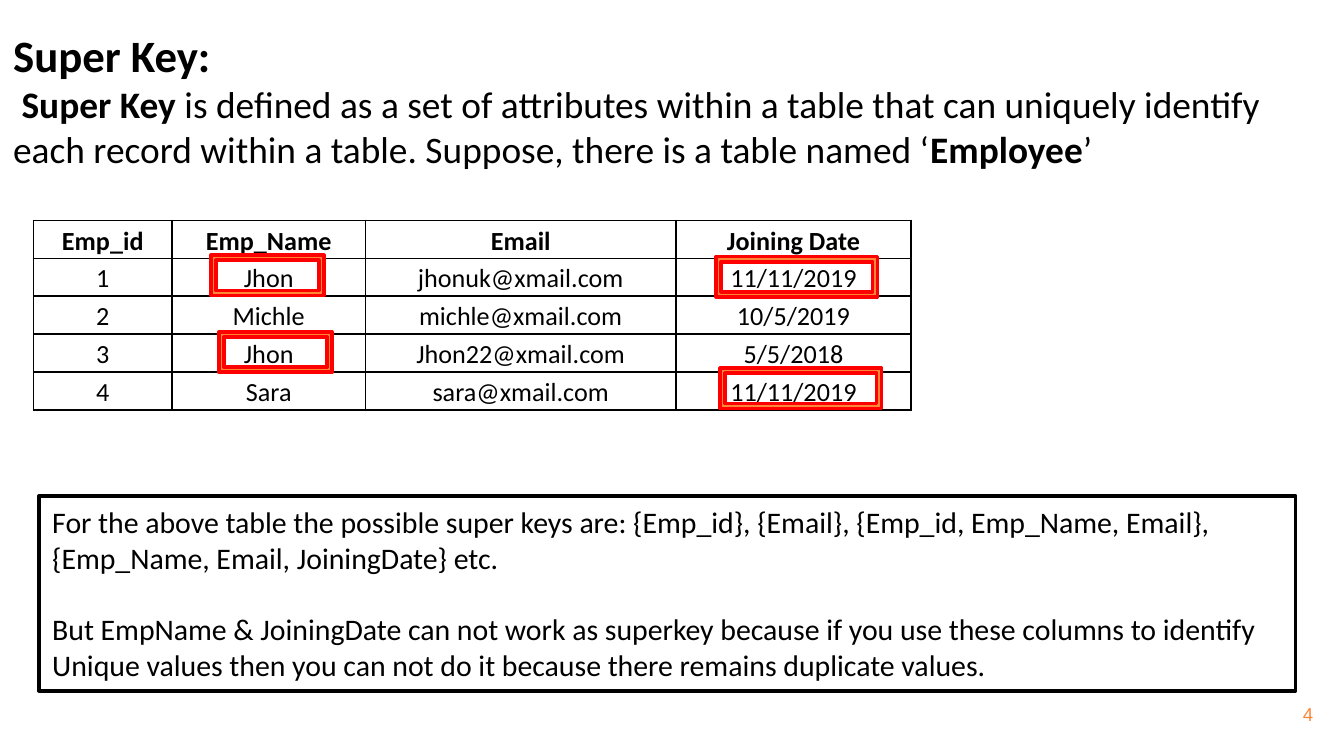
from dataclasses import dataclass

from pptx import Presentation, util as u
from pptx.dml.color import RGBColor
from pptx.enum import shapes, text
from pptx.oxml import parse_xml
from pptx.oxml.ns import nsdecls


@dataclass(frozen=True)
class Theme:
    """Hold the colours, fonts and type sizes."""
    ink: str = "000000"
    paper: str = "FFFFFF"
    accent: str = "FE8637"
    alert: str = "FF0000"
    font: str = "Calibri"
    plain: str = "Arial"
    head: int = 24
    lead: int = 20
    body: int = 16
    cell: int = 14
    foot: int = 10


THEME = Theme()
WIDTHS = [1.03, 1.44, 2.31, 1.75]
HEIGHT = 1.41
ROWS = [
    ["Emp_id", "Emp_Name", "Email", "Joining Date"],
    ["1", "Jhon", "jhonuk@xmail.com", "11/11/2019"],
    ["2", "Michle", "michle@xmail.com", "10/5/2019"],
    ["3", "Jhon", "Jhon22@xmail.com", "5/5/2018"],
    ["4", "Sara", "sara@xmail.com", "11/11/2019"],
]
INTRO = [
    (" Super Key", True),
    (" is defined as a set of attributes within a table that can uniquely "
     "identify each record within a table. Suppose, there is a table named ‘", False),
    ("Employee", True),
    ("’", False),
]
NOTES = [
    "For the above table the possible super keys are: "
    "{Emp_id}, {Email}, {Emp_id, Emp_Name, Email},",
    "{Emp_Name, Email, JoiningDate} etc.",
    "But EmpName & JoiningDate can not work as superkey because "
    "if you use these columns to identify",
    "Unique values then you can not do it because there remains duplicate values.",
]
MARKS = [(1.57, 1.9, 0.84), (1.63, 2.47, 0.84), (5.33, 1.91, 1.2), (5.36, 2.74, 1.2)]


def rgb(code):
    """Turn a hex code into a colour."""
    return RGBColor.from_string(code)


def style(run, size, bold=False, color=THEME.ink, name=THEME.font):
    """Format one run."""
    font = run.font
    font.size, font.bold, font.name = u.Pt(size), bold, name
    font.color.rgb = rgb(color)


def add_box(slide, left, top, width, height, anchor):
    """Add a wrapping text box and return its frame."""
    box = slide.shapes.add_textbox(*map(u.Inches, (left, top, width, height)))
    frame = box.text_frame
    frame.word_wrap = True
    frame.vertical_anchor = anchor
    frame.margin_left = frame.margin_right = u.Inches(0.1)
    frame.margin_top = frame.margin_bottom = u.Inches(0.1)
    return frame


def add_shape(slide, kind, area, fill, line):
    """Add a filled and outlined preset shape."""
    shape = slide.shapes.add_shape(kind, *map(u.Inches, area))
    shape.shadow.inherit = False
    shape.fill.solid()
    shape.fill.fore_color.rgb = rgb(fill)
    shape.line.color.rgb = rgb(line)
    shape.line.width = u.Pt(2)
    return shape


def add_title(slide):
    """Add the heading and its definition."""
    para = add_box(slide, 0, 0.24, 9.8, 1.13, text.MSO_ANCHOR.BOTTOM).paragraphs[0]
    para.text = "Super Key:\n"
    style(para.runs[0], THEME.head, True)
    for words, bold in INTRO:
        run = para.add_run()
        run.text = words
        style(run, THEME.lead, bold)


def edge(cell):
    """Draw thin lines on all sides of a cell."""
    props = cell._tc.get_or_add_tcPr()
    for side in "LRTB":
        props.append(parse_xml(
            f'<a:ln{side} {nsdecls("a")} w="{u.Pt(1)}"><a:solidFill>'
            f'<a:srgbClr val="{THEME.ink}"/></a:solidFill></a:ln{side}>'))


def fill_cell(cell, words, bold):
    """Write and format one table cell."""
    cell.margin_left = cell.margin_right = u.Inches(0.07)
    cell.margin_top = cell.margin_bottom = 0
    edge(cell)
    cell.fill.background()
    para = cell.text_frame.paragraphs[0]
    para.text = words
    para.alignment = text.PP_ALIGN.CENTER
    para.line_spacing = 1.15
    style(para.runs[0], THEME.cell, bold)


def add_grid(slide):
    """Add the employee table."""
    area = (0.25, 1.64, sum(WIDTHS), HEIGHT)
    grid = slide.shapes.add_table(
        len(ROWS), len(WIDTHS), *map(u.Inches, area)).table
    grid.first_row = grid.horz_banding = False
    for col, width in zip(grid.columns, WIDTHS):
        col.width = u.Inches(width)
    for i, row in enumerate(ROWS):
        grid.rows[i].height = u.Inches(HEIGHT / len(ROWS))
        for j, words in enumerate(row):
            fill_cell(grid.cell(i, j), words, i == 0)


def add_notes(slide):
    """Add the outlined box that lists the super keys."""
    box = add_shape(slide, shapes.MSO_SHAPE.RECTANGLE, (0.29, 3.69, 9.35, 1.45),
                    THEME.paper, THEME.ink)
    frame = box.text_frame
    frame.text = "\n".join(NOTES)
    frame.word_wrap = False
    frame.auto_size = text.MSO_AUTO_SIZE.SHAPE_TO_FIT_TEXT
    for para in frame.paragraphs:
        para.alignment = text.PP_ALIGN.LEFT
        style(para.runs[0], THEME.body)
    frame.paragraphs[2].space_before = u.Pt(19)


def add_marks(slide):
    """Frame the duplicate values in the table."""
    for left, top, width in MARKS:
        add_shape(slide, shapes.MSO_SHAPE.FRAME, (left, top, width, 0.3),
                  THEME.accent, THEME.alert)


def add_number(slide):
    """Add the page number."""
    para = add_box(slide, 9.27, 5.1, 0.6, 0.43, text.MSO_ANCHOR.MIDDLE).paragraphs[0]
    para.text = "4"
    para.alignment = text.PP_ALIGN.RIGHT
    style(para.runs[0], THEME.foot, color=THEME.accent, name=THEME.plain)


def main():
    """Build and save the slide."""
    deck = Presentation()
    deck.slide_width = u.Inches(10)
    deck.slide_height = u.Inches(10 * 9 / 16)
    slide = deck.slides.add_slide(deck.slide_layouts[6])
    add_title(slide)
    add_grid(slide)
    add_notes(slide)
    add_marks(slide)
    add_number(slide)
    deck.save("out.pptx")


if __name__ == "__main__":
    main()
